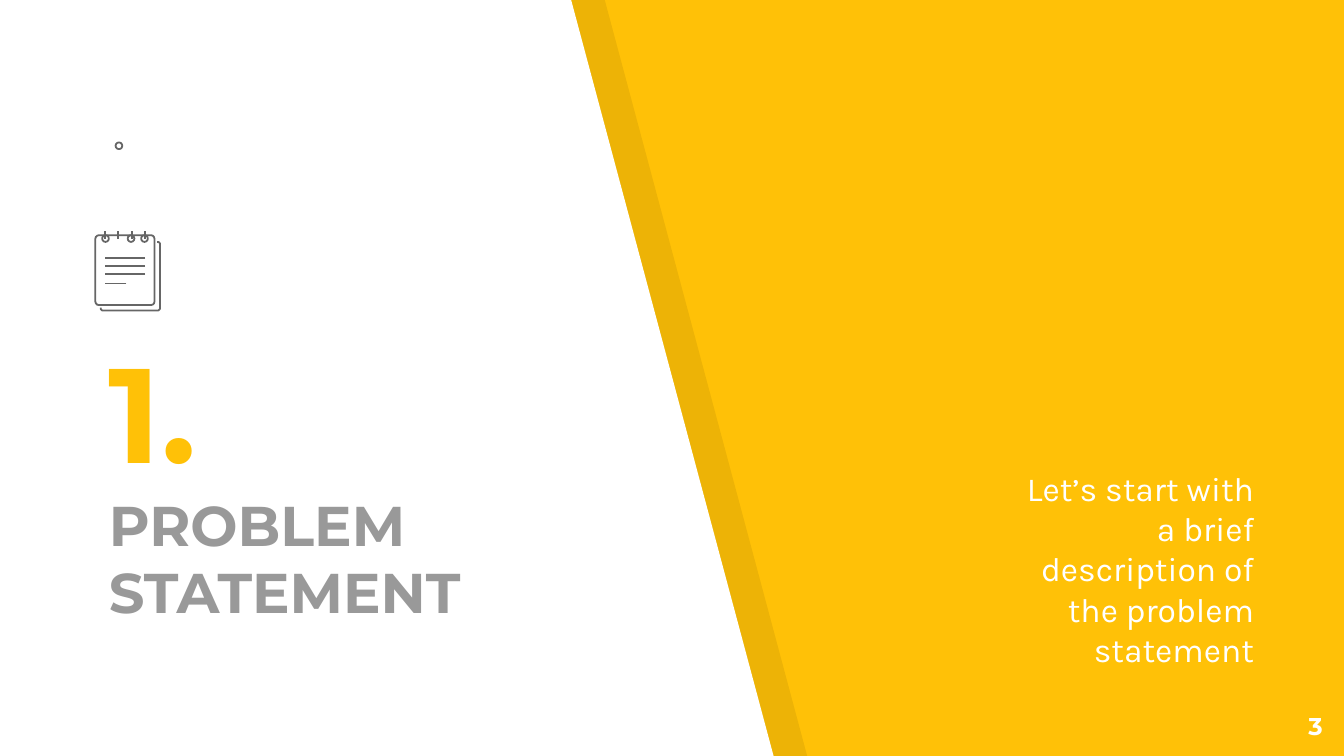
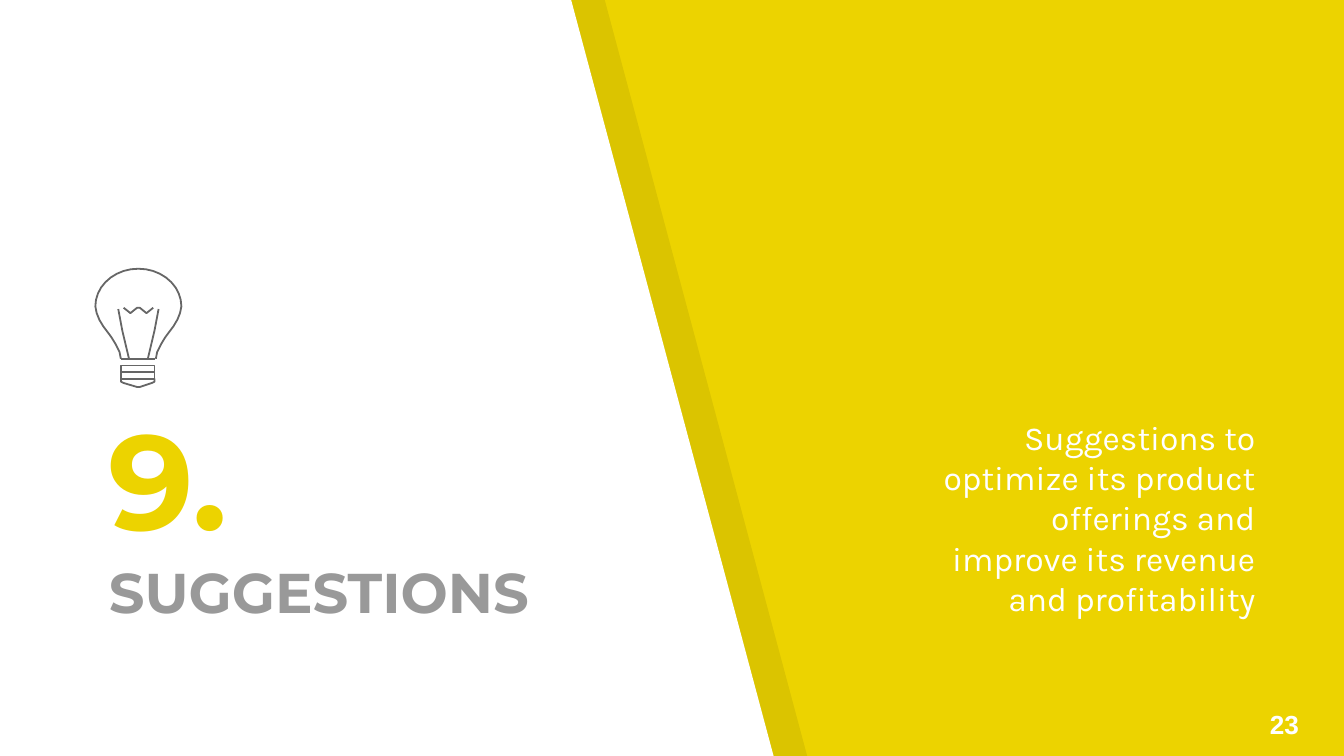
from math import cos, radians, sin

from lxml.etree import SubElement
from pptx import Presentation
from pptx.dml.color import RGBColor
from pptx.enum.shapes import MSO_CONNECTOR as Connector, MSO_SHAPE as Preset
from pptx.enum.text import MSO_ANCHOR as Anchor, MSO_AUTO_SIZE as AutoSize, PP_ALIGN as Align
from pptx.oxml.ns import qn
from pptx.util import Inches, Pt

rgb = RGBColor.from_string
WHITE, BLACK, GREY, INK = "FFFFFF", "000000", "999999", "666666"
HEADING, BODY = "Montserrat", "Karla"


def write(para, text, size, font, colour, bold=False):
    span = para.add_run()
    span.text = text
    span.font.size = Pt(size)
    span.font.name = font
    span.font.bold = bold
    span.font.color.rgb = rgb(colour)


def trace(page, points, closed=False):
    """Draw a straight connector for two points, a freeform for more."""
    points = [(Inches(x), Inches(y)) for x, y in points]
    if len(points) == 2:
        return page.shapes.add_connector(Connector.STRAIGHT, *points[0], *points[1])
    outline = page.shapes.build_freeform(*points[0])
    outline.add_line_segments(points[1:], close=closed)
    return outline.convert_to_shape()


sections = [
    dict(accent="FFC107", number="1.", heading="PROBLEM STATEMENT",
         heading_in_new_para=True, title_at=(0.71, 3.5, 3.85, 1.25),
         summary="Let’s start with a brief description of the problem statement",
         summary_at=(7.35, 3.57, 2.08, 1.51), indent=(0, 0),
         page_number="3", number_at=(9.34, 5.19, 0.6, 0.43),
         number_font=(13, HEADING), number_align=Align.RIGHT, number_inset=0.1),
    dict(accent="ECD300", number="9.", heading="SUGGESTIONS",
         heading_in_new_para=False, title_at=(0.71, 1.48, 3.85, 3.27),
         summary="Suggestions to optimize its product offerings and "
                 "improve its revenue and profitability",
         summary_at=(6.35, 3.57, 3.09, 1.13), indent=(0.5, -0.39),
         page_number="23", number_at=(9.35, 5.22, 0.58, 0.34),
         number_font=(14, "Arial"), number_align=Align.LEFT, number_inset=0.05),
]

# 16:9 deck
deck = Presentation()
deck.slide_width = Inches(10)
deck.slide_height = deck.slide_width * 9 // 16
pages = []

# Shared frame: background, slanted panel, title, summary and page number
for section in sections:
    page = deck.slides.add_slide(deck.slide_layouts[5])
    pages.append(page)
    page.background.fill.solid()
    page.background.fill.fore_color.rgb = rgb(section["accent"])

    # White panel and its shade, both behind the title
    for depth, (shift, colour) in enumerate([(0.25, BLACK), (0, WHITE)]):
        corners = [(0, -0.01), (-0.01, 5.64), (5.76, 5.64), (4.25, 0)]
        panel = trace(page, [(x + shift, y) for x, y in corners], closed=True)
        panel.fill.solid()
        panel.fill.fore_color.rgb = rgb(colour)
        panel.line.fill.background()
        panel.shadow.inherit = False
        if colour == BLACK:
            tint = panel.element.spPr.find(".//" + qn("a:srgbClr"))
            SubElement(tint, qn("a:alpha"), val="7000")
        page.shapes.element.insert(2 + depth, panel.element)

    # Text frames
    title = page.shapes.title
    title.left, title.top, title.width, title.height = map(Inches, section["title_at"])
    summary = page.shapes.add_textbox(*map(Inches, section["summary_at"]))
    number = page.shapes.add_textbox(*map(Inches, section["number_at"]))
    for box, anchor, inset in [(title, Anchor.BOTTOM, 0.1), (summary, Anchor.BOTTOM, 0.1),
                               (number, Anchor.TOP, section["number_inset"])]:
        frame = box.text_frame
        frame.word_wrap = True
        frame.auto_size = AutoSize.NONE
        frame.vertical_anchor = anchor
        frame.margin_left = frame.margin_right = Inches(0.1)
        frame.margin_top = frame.margin_bottom = Inches(inset)

    # Wording
    para = title.text_frame.paragraphs[0]
    para.alignment = Align.LEFT
    write(para, section["number"], 72, HEADING, section["accent"], bold=True)
    if section["heading_in_new_para"]:
        para = title.text_frame.add_paragraph()
        para.alignment = Align.LEFT
    else:
        para.add_line_break()
    write(para, section["heading"], 30, HEADING, GREY, bold=True)

    para = summary.text_frame.paragraphs[0]
    para.alignment = Align.RIGHT
    margin, first_line = section["indent"]
    if margin:
        settings = para._p.get_or_add_pPr()
        settings.set("marL", str(Inches(margin)))
        settings.set("indent", str(Inches(first_line)))
    write(para, section["summary"], 18, BODY, WHITE)

    para = number.text_frame.paragraphs[0]
    para.alignment = section["number_align"]
    write(para, section["page_number"], *section["number_font"], WHITE, bold=True)

problem, suggestions = pages
strokes = []

# Notepad icon: back sheet, front sheet, rings, written lines, ring pins
strokes.append(trace(problem, [
    (0.75, 2.29), (0.75, 2.3), (0.76, 2.31), (0.77, 2.31), (1.17, 2.31), (1.18, 2.31),
    (1.19, 2.3), (1.19, 2.28), (1.19, 1.81), (1.18, 1.8), (1.17, 1.8)]))
sheet = problem.shapes.add_shape(Preset.ROUNDED_RECTANGLE, *map(Inches, (0.71, 1.75, 0.44, 0.52)))
sheet.adjustments[0] = 0.06
strokes.append(sheet)
for left, top in [(0.76, 1.75), (0.86, 1.06), (0.95, 1.75), (1.05, 1.75)]:
    strokes.append(problem.shapes.add_shape(
        Preset.OVAL, *map(Inches, (left, top, 0.05, 0.05))))
for y, right in [(1.92, 1.08), (1.98, 1.08), (2.04, 1.08), (2.11, 0.94)]:
    strokes.append(trace(problem, [(right, y), (0.78, y)]))
for pin in range(4):
    x = 0.78 + 0.1 * pin
    strokes.append(trace(problem, [(x, 1.72), (x, 1.78)]))

# Light bulb icon: neck and dome mirrored about the axis, then base and filament
axis = 1.03
neck = [(0.13, 2.67), (0.14, 2.62), (0.17, 2.56), (0.2, 2.51), (0.23, 2.47),
        (0.26, 2.43), (0.29, 2.38), (0.31, 2.33)]
dome = [(0.32 * cos(radians(angle)), 2.28 - 0.28 * sin(radians(angle)))
        for angle in range(0, 91, 10)]
half_glass = neck + dome
strokes.append(trace(suggestions, [(axis + x, y) for x, y in half_glass]
                     + [(axis - x, y) for x, y in reversed(half_glass[:-1])]))
for top in (2.72, 2.77):
    strokes.append(suggestions.shapes.add_shape(
        Preset.RECTANGLE, *map(Inches, (0.9, top, 0.25, 0.05))))
strokes.append(trace(suggestions, [
    (0.9, 2.82), (0.9, 2.84), (0.92, 2.85), (1.02, 2.88), (1.04, 2.88),
    (1.13, 2.85), (1.15, 2.84), (1.15, 2.82)], closed=True))
for side in (-1, 1):
    strokes.append(trace(suggestions, [
        (axis + side * x, y) for x, y in [(0.07, 2.67), (0.12, 2.46), (0.15, 2.3)]]))
strokes.append(trace(suggestions, [
    (0.92, 2.29), (0.97, 2.33), (1.02, 2.29), (1.04, 2.29), (1.09, 2.33), (1.14, 2.29)]))
strokes.append(trace(suggestions, [(0.9, 2.67), (1.15, 2.67)]))

# One outline style for both icons
for stroke in strokes:
    if hasattr(stroke, "fill"):
        stroke.fill.background()
    stroke.line.color.rgb = rgb(INK)
    stroke.line.width = Pt(0.96)
    SubElement(stroke.element.spPr, qn("a:effectLst"))

deck.save("out.pptx")
